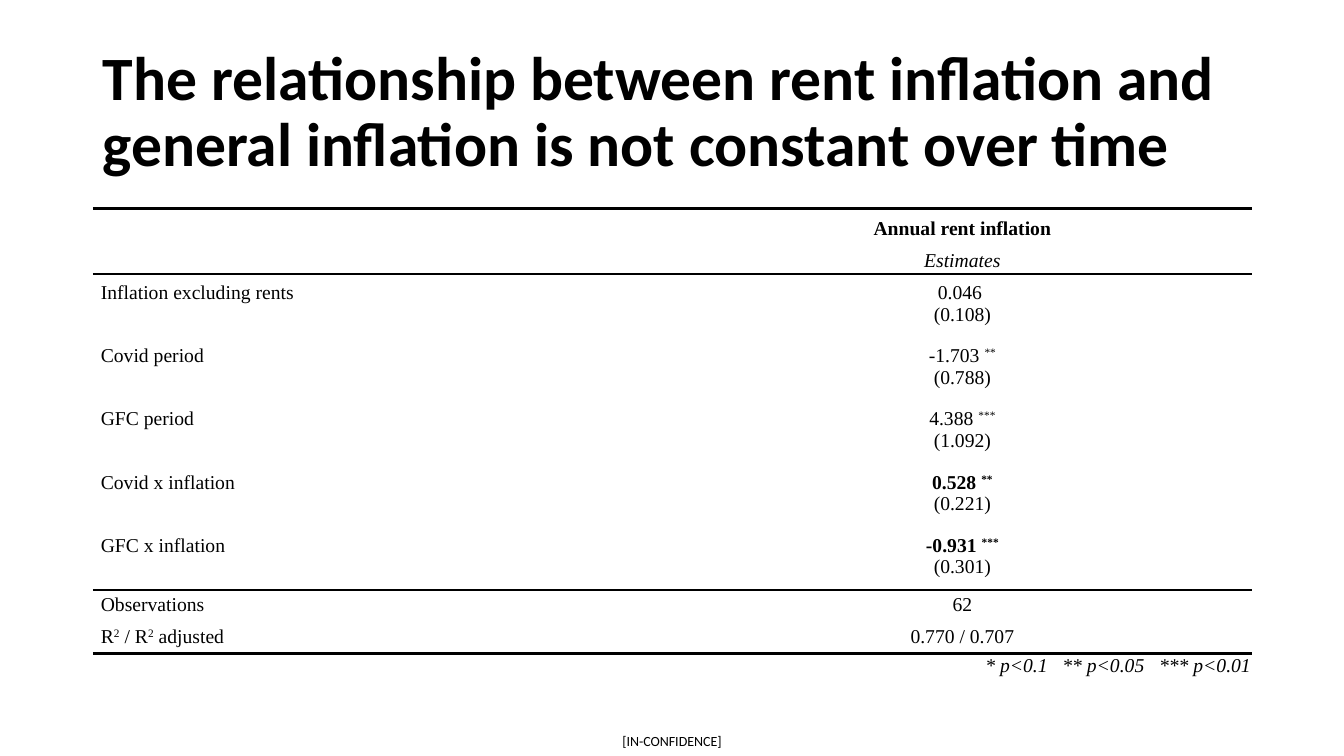
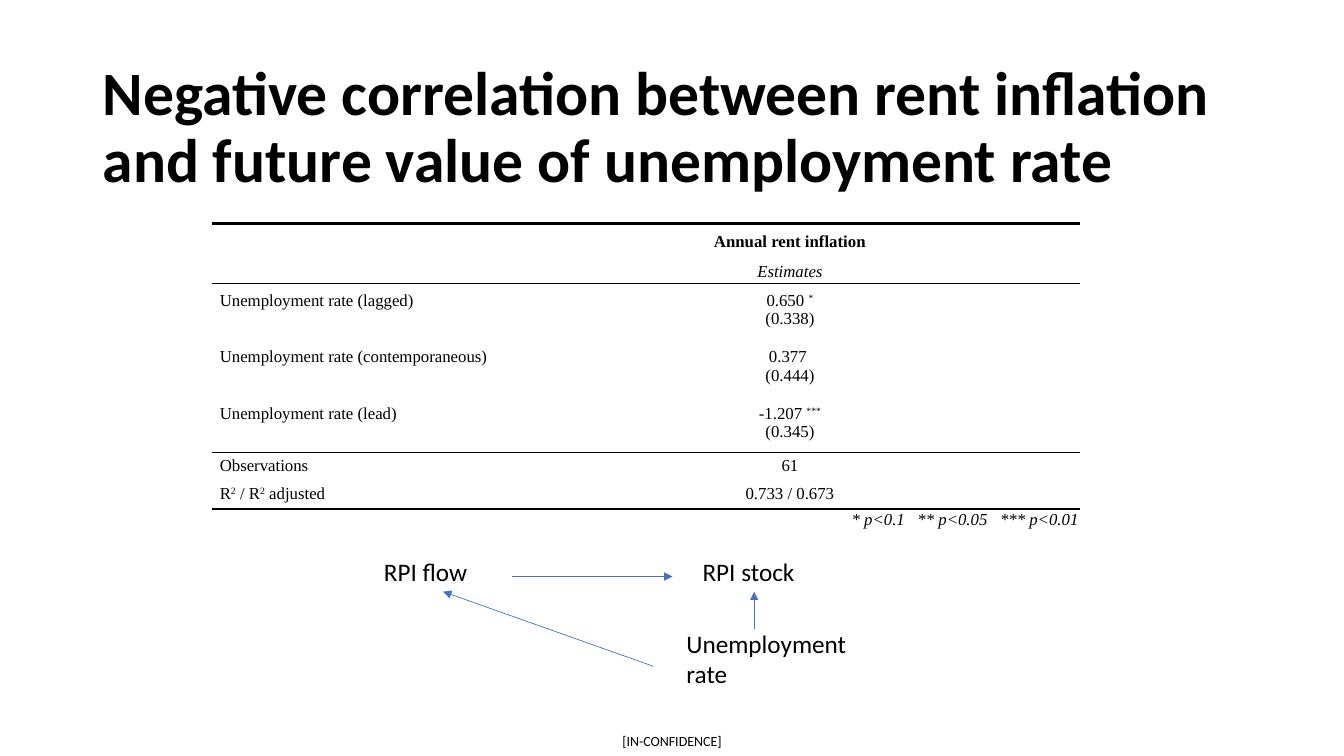
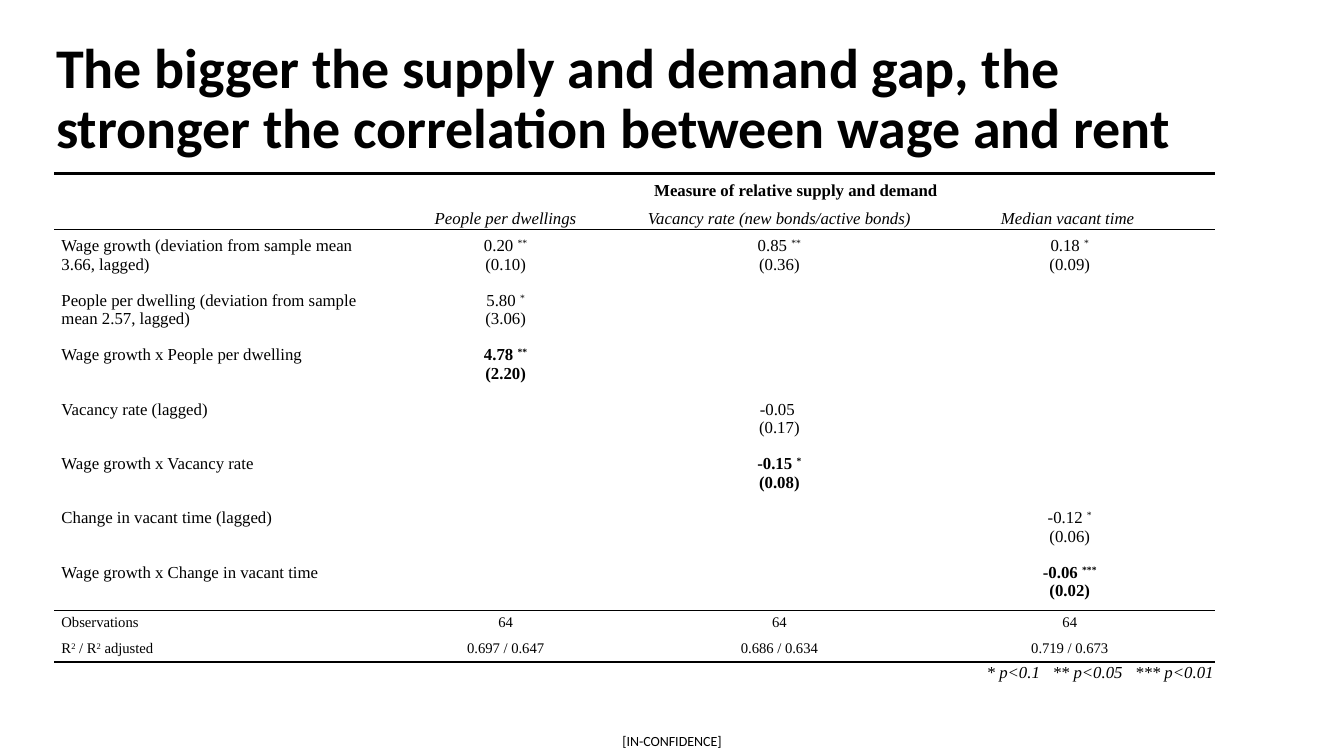
import copy

import lxml.etree
import pptx
import pptx.dml.color
import pptx.enum.shapes
import pptx.enum.text
import pptx.oxml.ns
import pptx.util

Inches = pptx.util.Inches
Pt = pptx.util.Pt
qn = pptx.oxml.ns.qn
ALIGN = pptx.enum.text.PP_ALIGN
ANCHOR = pptx.enum.text.MSO_ANCHOR

BLACK = pptx.dml.color.RGBColor(0x00, 0x00, 0x00)
BLUE = pptx.dml.color.RGBColor(0x44, 0x72, 0xC4)
SANS = "Calibri"
SERIF = "Times New Roman"
NO_GRID = "{2D5ABB26-0587-4C30-8999-92F81FD0307C}"
THICK, THIN = 2.25, 1
FOOTER = "[IN-CONFIDENCE]"
NOTE = "* p<0.1   ** p<0.05   *** p<0.01"
FIT_LABEL = "R^2^ / R^2^ adjusted"


def write(tf, text, size=18, font=SANS, color=BLACK, bold=False, italic=False,
          align=ALIGN.LEFT, anchor=ANCHOR.TOP, spacing=None, insets=None):
    """Lines starting with ! are bold; text between ^ marks is superscript."""
    tf.word_wrap = True
    tf.vertical_anchor = anchor
    if insets is not None:
        tf.margin_left = tf.margin_right = Inches(insets[0])
        tf.margin_top = tf.margin_bottom = Inches(insets[1])
    p = tf.paragraphs[0]
    p.alignment = align
    p.line_spacing = spacing
    p._p.get_or_add_endParaRPr().set("sz", str(int(size * 100)))
    r = None
    for line in text.split("\n"):
        if r is not None:
            p.add_line_break()
            p._p.findall(qn("a:br"))[-1].append(copy.deepcopy(r._r.rPr))
        strong = bold or line.startswith("!")
        for i, part in enumerate(line.lstrip("!").split("^")):
            if not part:
                continue
            r = p.add_run()
            r.text = part
            r.font.size = Pt(size)
            r.font.name = font
            r.font.color.rgb = color
            r.font.bold = strong
            r.font.italic = italic
            if i % 2:
                r._r.get_or_add_rPr().set("baseline", "30000")


def rule(cell, side, width):
    ln = lxml.etree.Element(qn("a:" + side), w=str(Pt(width)))
    fill = lxml.etree.SubElement(ln, qn("a:solidFill"))
    lxml.etree.SubElement(fill, qn("a:srgbClr"), val=str(BLACK))
    cell._tc.get_or_add_tcPr().insert(0, ln)


class Deck:
    def __init__(self):
        self.prs = pptx.Presentation()
        self.prs.slide_width = Inches(13.33)
        self.prs.slide_height = Inches(7.5)
        self.s = None

    def slide(self, title, box, size=44):
        self.s = self.prs.slides.add_slide(self.prs.slide_layouts[6])
        self.text(FOOTER, (6.01, 7.21, 1.31, 0.29), size=10, align=ALIGN.CENTER,
                  anchor=ANCHOR.MIDDLE, insets=(0, 0))
        self.text(title, box, size=size, bold=True, anchor=ANCHOR.MIDDLE, spacing=0.9)

    def text(self, text, box, **style):
        sp = self.s.shapes.add_textbox(*map(Inches, box))
        write(sp.text_frame, text, **style)
        return sp

    def arrow(self, start, end, target=None, site=0):
        c = self.s.shapes.add_connector(pptx.enum.shapes.MSO_CONNECTOR.STRAIGHT,
                                        *map(Inches, start + end))
        if target is not None:
            c.end_connect(target, site)
        c.line.color.rgb = BLUE
        c.line.width = Pt(0.5)
        lxml.etree.SubElement(c.line._get_or_add_ln(), qn("a:tailEnd"), type="triangle")
        lxml.etree.SubElement(c._element.spPr, qn("a:effectLst"))

    def regression(self, left, top, widths, heading, subheads, estimates, fits,
                   heights, size, fit_size=None, inset=0.08):
        head_h, sub_h, estimate_h, fit_h, note_h = heights
        rows = [["", heading], ["", *subheads], *estimates, *fits, [NOTE]]
        row_heights = ([head_h, sub_h] + [estimate_h] * len(estimates)
                       + [fit_h] * len(fits) + [note_h])
        last = len(rows) - 1
        fit_start = 2 + len(estimates)
        rules = {0: ("lnT", THICK), 1: ("lnB", THIN),
                 fit_start - 1: ("lnB", THIN), last - 1: ("lnB", THICK)}
        frame = self.s.shapes.add_table(len(rows), len(widths), Inches(left), Inches(top),
                                        Inches(sum(widths)), Inches(sum(row_heights)))
        table = frame.table
        table.first_row = table.horz_banding = False
        table._tbl.tblPr.find(qn("a:tableStyleId")).text = NO_GRID
        for column, width in zip(table.columns, widths):
            column.width = Inches(width)
        for i, (values, height) in enumerate(zip(rows, row_heights)):
            table.rows[i].height = Inches(height)
            in_fit = fit_start <= i < last
            style = dict(size=fit_size if in_fit and fit_size else size, font=SERIF,
                         bold=i == 0, italic=i in (1, last),
                         anchor=ANCHOR.MIDDLE if i in (0, 1, last) else ANCHOR.TOP,
                         insets=(0.01, 0.01) if i in (1, last)
                         else (inset, 0.04 if in_fit else inset))
            for j in range(len(widths)):
                cell = table.cell(i, j)
                cell.fill.background()
                cell.vertical_anchor = style["anchor"]
                cell.margin_left = cell.margin_right = Inches(style["insets"][0])
                cell.margin_top = cell.margin_bottom = Inches(style["insets"][1])
                align = ALIGN.RIGHT if i == last else ALIGN.CENTER if j else ALIGN.LEFT
                value = values[j] if j < len(values) else ""
                cell_style = {k: v for k, v in style.items() if k not in ("anchor", "insets")}
                write(cell.text_frame, value, align=align, **cell_style)
                if i in rules:
                    rule(cell, *rules[i])
        table.cell(last, 0).merge(table.cell(last, len(widths) - 1))
        if len(widths) > 2:
            table.cell(0, 1).merge(table.cell(0, len(widths) - 1))


def main():
    deck = Deck()

    deck.slide("The relationship between rent inflation and general inflation "
               "is not constant over time", (0.92, 0.4, 11.65, 1.45))
    deck.regression(
        0.92, 2.07, [5.75, 5.75], "Annual rent inflation", ["Estimates"],
        [["Inflation excluding rents", "0.046 \n(0.108)"],
         ["Covid period", "-1.703 ^**^\n(0.788)"],
         ["GFC period", "4.388 ^***^\n(1.092)"],
         ["Covid x inflation", "!0.528 ^**^\n(0.221)"],
         ["GFC x inflation", "!-0.931 ^***^\n(0.301)"]],
        [["Observations", "62"], [FIT_LABEL, "0.770 / 0.707"]],
        (0.39, 0.25, 0.62, 0.31, 0.26), 14)

    deck.slide("Negative correlation between rent inflation and future value "
               "of unemployment rate", (0.92, 0.4, 11.5, 1.76))
    deck.regression(
        2.1, 2.22, [2.86, 5.75], "Annual rent inflation", ["Estimates"],
        [["Unemployment rate (lagged)", "0.650 ^*^\n(0.338)"],
         ["Unemployment rate (contemporaneous)", "0.377 \n(0.444)"],
         ["Unemployment rate (lead)", "-1.207 ^***^\n(0.345)"]],
        [["Observations", "61"], [FIT_LABEL, "0.733 / 0.673"]],
        (0.35, 0.23, 0.56, 0.28, 0.22), 12)
    flow = deck.text("RPI flow", (3.71, 5.47, 1.37, 0.4))
    deck.text("RPI stock", (6.87, 5.47, 1.96, 0.4))
    deck.text("Unemployment rate", (6.71, 6.18, 2.21, 0.71))
    deck.arrow((5.08, 5.72), (6.67, 5.72))
    deck.arrow((7.48, 6.24), (7.48, 5.87))
    deck.arrow((6.48, 6.61), (4.39, 5.87), target=flow, site=2)

    deck.slide("The bigger the supply and demand gap, the stronger the correlation "
               "between wage and rent", (0.46, 0.27, 11.5, 1.45), size=40)
    deck.regression(
        0.54, 1.72, [3.2, 2.55, 2.88, 2.88], "Measure of relative supply and demand",
        ["People per dwellings", "Vacancy rate (new bonds/active bonds)",
         "Median vacant time "],
        [["Wage growth (deviation from sample mean 3.66, lagged)",
          "0.20 ^**^\n(0.10)", "0.85 ^**^\n(0.36)", "0.18 ^*^\n(0.09)"],
         ["People per dwelling (deviation from sample mean 2.57, lagged)",
          "5.80 ^*^\n(3.06)"],
         ["Wage growth x People per dwelling", "!4.78 ^**^\n!(2.20)"],
         ["Vacancy rate (lagged)", "", "-0.05 \n(0.17)"],
         ["Wage growth x Vacancy rate", "", "!-0.15 ^*^\n!(0.08)"],
         ["Change in vacant time (lagged)", "", "", "-0.12 ^*^\n(0.06)"],
         ["Wage growth x Change in vacant time", "", "", "!-0.06 ^***^\n!(0.02)"]],
        [["Observations", "64", "64", "64"],
         [FIT_LABEL, "0.697 / 0.647", "0.686 / 0.634", "0.719 / 0.673"]],
        (0.34, 0.22, 0.54, 0.25, 0.22), 12, fit_size=10.5, inset=0.07)

    deck.prs.save("out.pptx")


if __name__ == "__main__":
    main()
